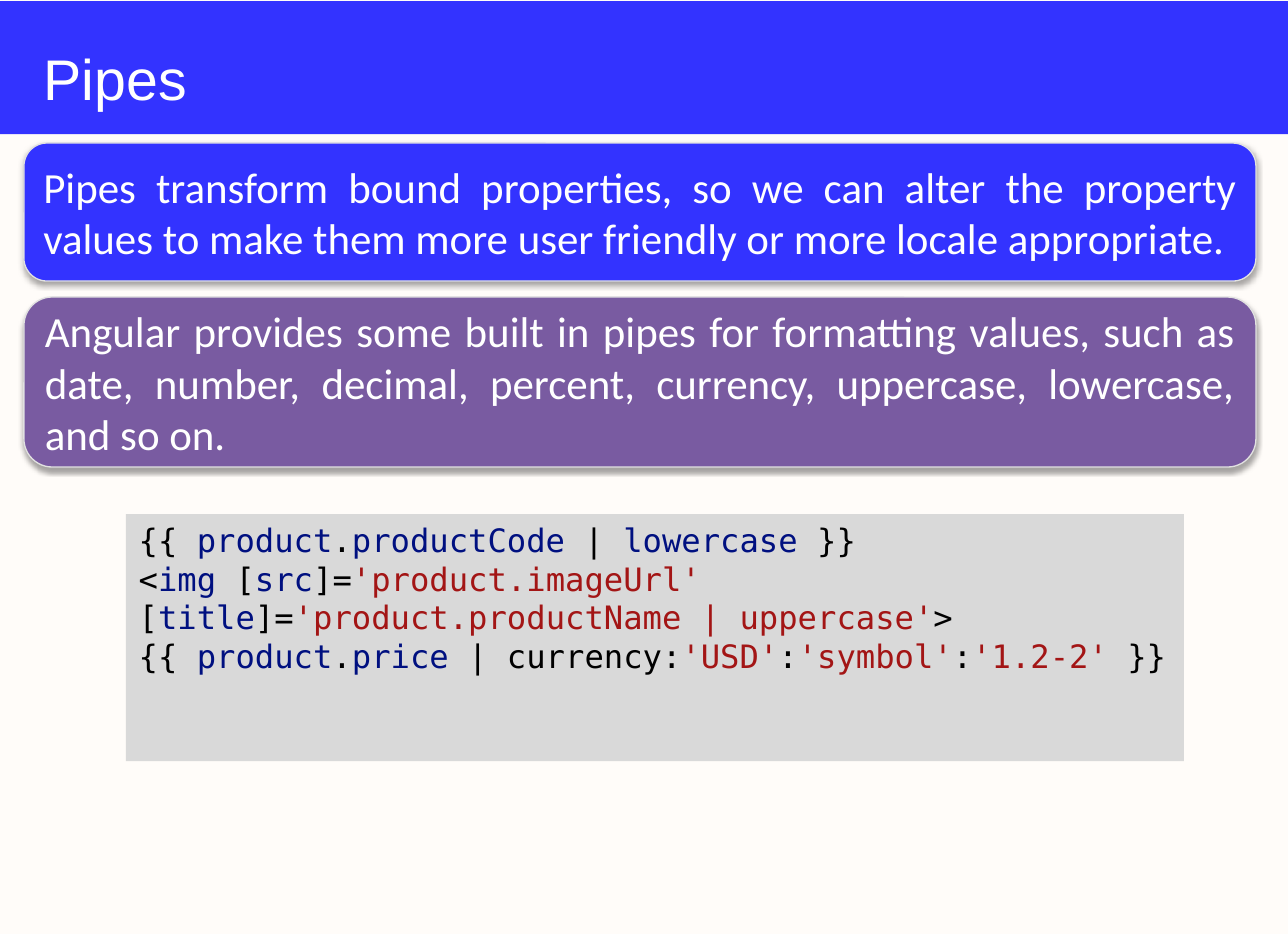
from lxml.etree import SubElement
from pptx import Presentation
from pptx.dml.color import RGBColor
from pptx.enum.shapes import MSO_SHAPE as Preset
from pptx.enum.text import MSO_ANCHOR as Anchor, PP_ALIGN as Align
from pptx.oxml.ns import qn
from pptx.util import Emu, Inches, Pt

EMU_PER_PX = 914400 / 128.8
TITLE_ONLY = 5

CREAM = RGBColor(0xFF, 0xFC, 0xF9)
BLUE = RGBColor(0x33, 0x33, 0xFF)
PURPLE = RGBColor(0x79, 0x5B, 0xA1)
WHITE = RGBColor(0xFF, 0xFF, 0xFF)
EDGE = RGBColor(0xE1, 0xE1, 0xE1)
PANEL = RGBColor(0xD9, 0xD9, 0xD9)
PLAIN = RGBColor(0x00, 0x00, 0x00)
NAME = RGBColor(0x00, 0x10, 0x80)
STRING = RGBColor(0xA3, 0x15, 0x15)

CALLOUTS = [
    ((24, 143, 1232, 138), BLUE,
     "Pipes transform bound properties, so we can alter the property values "
     "to make them more user friendly or more locale appropriate."),
    ((24, 297, 1232, 170), PURPLE,
     "Angular provides some built in pipes for formatting values, such as "
     "date, number, decimal, percent, currency, uppercase, lowercase, "
     "and so on."),
]
CODE = [
    [("{{ ", PLAIN), ("product", NAME), (".", PLAIN), ("productCode", NAME),
     (" | ", PLAIN), ("lowercase", NAME), (" }}", PLAIN)],
    [("<", PLAIN), ("img", NAME), (" [", PLAIN), ("src", NAME),
     ("]=", PLAIN), ("'product.imageUrl'", STRING)],
    [("[", PLAIN), ("title", NAME), ("]=", PLAIN),
     ("'product.productName | uppercase'", STRING), (">", PLAIN)],
    [("{{ ", PLAIN), ("product", NAME), (".", PLAIN), ("price", NAME),
     (" | currency:", PLAIN), ("'USD'", STRING), (":", PLAIN),
     ("'symbol'", STRING), (":", PLAIN), ("'1.2-2'", STRING), (" }}", PLAIN)],
]


def px(length):
    """Turn picture pixels into EMU."""
    return Emu(round(length * EMU_PER_PX))


def write(shape, lines, *, font, size, align=Align.LEFT, anchor=Anchor.TOP):
    """Fill a shape with lines, each a list of (text, colour) runs."""
    frame = shape.text_frame
    frame.word_wrap = True
    frame.vertical_anchor = anchor
    for index, line in enumerate(lines):
        paragraph = frame.add_paragraph() if index else frame.paragraphs[0]
        paragraph.alignment = align
        for text, color in line:
            run = paragraph.add_run()
            run.text = text
            run.font.name, run.font.size = font, Pt(size)
            run.font.color.rgb = color


def add_block(slide, preset, box, fill):
    """Add a flat filled shape without outline or shadow."""
    block = slide.shapes.add_shape(preset, *map(px, box))
    block.fill.solid()
    block.fill.fore_color.rgb = fill
    block.line.fill.background()
    block.shadow.inherit = False
    return block


def add_soft_shadow(shape):
    """Give a shape a faint shadow straight below it."""
    effects = shape._element.spPr.find(qn("a:effectLst"))
    shadow = SubElement(effects, qn("a:outerShdw"), blurRad=str(Pt(3.1)),
                        dist=str(Pt(1.8)), dir="5400000", rotWithShape="0")
    black = SubElement(shadow, qn("a:srgbClr"), val="000000")
    SubElement(black, qn("a:alpha"), val="35000")


def add_header(slide, box, heading):
    """Place the banner in the box and the title on top of it."""
    left, top, width, height = box
    banner = add_block(slide, Preset.RECTANGLE, box, BLUE)
    title = slide.shapes.title
    title._element.addprevious(banner._element)
    title.left, title.top = px(left + 31), px(top + 34)
    title.width, title.height = px(width - 56), px(height - 56)
    title.text_frame.margin_bottom = 0
    write(title, [[(heading, WHITE)]], font="Arial", size=32,
          anchor=Anchor.BOTTOM)


def add_callout(slide, box, fill, message):
    """Place a rounded, shadowed box with a justified message."""
    callout = add_block(slide, Preset.ROUNDED_RECTANGLE, box, fill)
    callout.line.color.rgb = EDGE
    callout.line.width = Pt(0.75)
    add_soft_shadow(callout)
    write(callout, [[(message, WHITE)]], font="Calibri", size=24,
          align=Align.JUSTIFY, anchor=Anchor.MIDDLE)


def add_code(slide, box, lines):
    """Place the highlighted code listing on a grey panel."""
    listing = add_block(slide, Preset.RECTANGLE, box, PANEL)
    write(listing, lines, font="DejaVu Sans Mono", size=18)


def build():
    """Build and save the slide."""
    deck = Presentation()
    deck.slide_width, deck.slide_height = Inches(10), Inches(7.25)
    slide = deck.slides.add_slide(deck.slide_layouts[TITLE_ONLY])
    slide.background.fill.solid()
    slide.background.fill.fore_color.rgb = CREAM
    add_header(slide, (0, 1, 1288, 133), "Pipes")
    for box, fill, message in CALLOUTS:
        add_callout(slide, box, fill, message)
    add_code(slide, (126, 514, 1058, 247), CODE)
    deck.save("out.pptx")


build()
